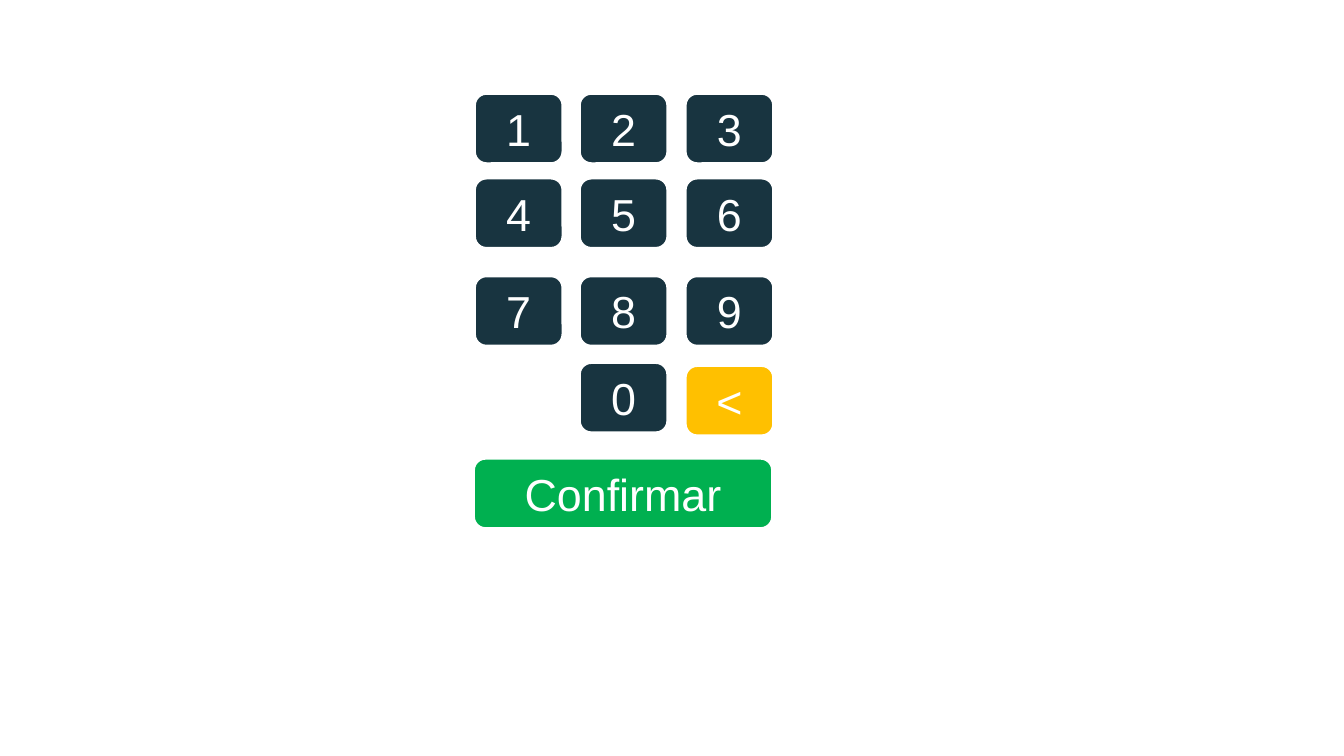
"""Build a slide with a numeric keypad and a confirm button."""
from dataclasses import dataclass

from pptx import Presentation
from pptx.dml.color import RGBColor
from pptx.enum.shapes import MSO_SHAPE as Shape
from pptx.enum.text import MSO_ANCHOR as Anchor, PP_ALIGN as Align
from pptx.util import Inches, Pt


@dataclass(frozen=True)
class Theme:
    digit: RGBColor = RGBColor.from_string("183440")
    erase: RGBColor = RGBColor.from_string("FFC000")
    confirm: RGBColor = RGBColor.from_string("00B050")
    light: RGBColor = RGBColor.from_string("FFFFFF")
    font: str = "Arial"
    size: Pt = Pt(32)
    border: Pt = Pt(1.5)


class Keypad:
    key_width = 0.87
    key_height = 0.69

    def __init__(self, slide, theme):
        self.slide = slide
        self.theme = theme

    def button(self, label, left, top, fill, width=key_width):
        box = self.slide.shapes.add_shape(
            Shape.ROUNDED_RECTANGLE, Inches(left), Inches(top),
            Inches(width), Inches(self.key_height))
        box.shadow.inherit = False
        box.fill.solid()
        box.fill.fore_color.rgb = fill
        box.line.color.rgb = self.theme.light
        box.line.width = self.theme.border
        frame = box.text_frame
        frame.word_wrap = True
        frame.vertical_anchor = Anchor.MIDDLE
        para = frame.paragraphs[0]
        para.alignment = Align.CENTER
        span = para.add_run()
        span.text = label
        span.font.name = self.theme.font
        span.font.size = self.theme.size
        span.font.color.rgb = self.theme.light


def main():
    deck = Presentation()
    deck.slide_width = Inches(13.33)
    deck.slide_height = Inches(7.5)
    page = deck.slides.add_slide(deck.slide_layouts[6])
    theme = Theme()
    keypad = Keypad(page, theme)

    columns = (4.71, 5.75, 6.8)
    rows = {0.93: "123", 1.77: "456", 2.74: "789"}
    for top, digits in rows.items():
        for left, digit in zip(columns, digits):
            keypad.button(digit, left, top, theme.digit)
    keypad.button("0", columns[1], 3.6, theme.digit)
    keypad.button("<", columns[2], 3.63, theme.erase)
    keypad.button("Confirmar", 4.7, 4.55, theme.confirm, width=2.96)

    deck.save("out.pptx")


if __name__ == "__main__":
    main()
